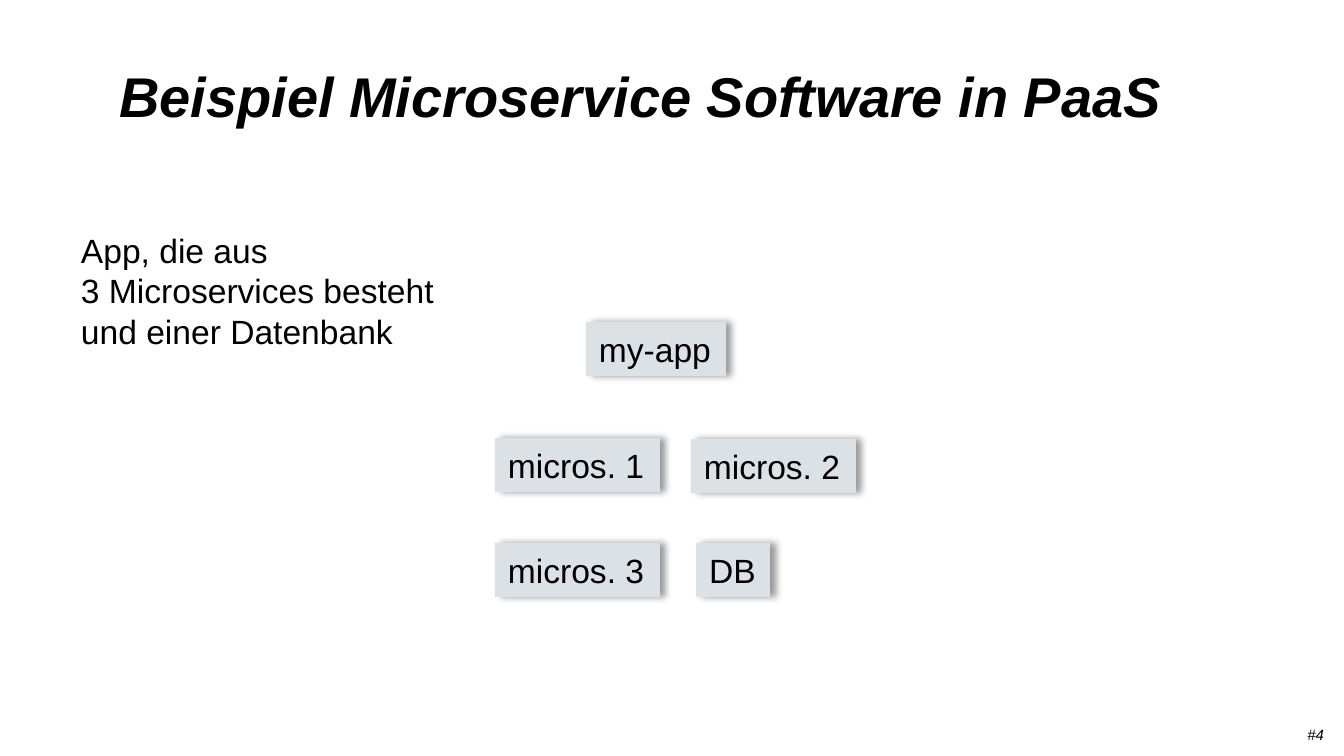
from lxml.etree import SubElement
from pptx import Presentation
from pptx.dml.color import RGBColor as RGB
from pptx.enum.shapes import MSO_SHAPE as SHAPE
from pptx.enum.text import MSO_ANCHOR as ANCHOR, MSO_AUTO_SIZE as AUTO, PP_ALIGN as ALIGN
from pptx.oxml.ns import qn
from pptx.util import Emu, Pt

WIDTH, HEIGHT = 1344, 756
EMU_PER_PX = 9144000 / WIDTH
FONT = "Arial"
COLORS = {"text": "000000", "box": "DCE1E6", "shadow": "000000"}
BOX_HEIGHT = 54
SERVICE_WIDTH = 165
SERVICE_LEFT = 495


def px(value):
    return Emu(round(value * EMU_PER_PX))


def write_text(sp, text, size=18, bold=False, italic=False, align=ALIGN.LEFT,
               wrap=False, insets=(13, 7, 13, 7), line=None):
    tf = sp.text_frame
    tf.word_wrap = wrap
    tf.auto_size = AUTO.SHAPE_TO_FIT_TEXT
    tf.vertical_anchor = ANCHOR.TOP
    tf.margin_left, tf.margin_top, tf.margin_right, tf.margin_bottom = map(px, insets)
    for i, words in enumerate(text.split("\n")):
        p = tf.add_paragraph() if i else tf.paragraphs[0]
        p.alignment = align
        if line:
            p.line_spacing = Pt(line)
        r = p.add_run()
        r.text = words
        r.font.name = FONT
        r.font.size = Pt(size)
        r.font.bold = bold
        r.font.italic = italic
        r.font.color.rgb = RGB.from_string(COLORS["text"])


def add_label(s, text, x, y, w, h, **fmt):
    sp = s.shapes.add_textbox(px(x), px(y), px(w), px(h))
    write_text(sp, text, **fmt)


def add_shadow(sp, blur=4, distance=3, opacity=40):
    sp.shadow.inherit = False
    effects = sp._element.spPr.find(qn("a:effectLst"))
    shadow = SubElement(effects, qn("a:outerShdw"), blurRad=str(Pt(blur)),
                        dist=str(Pt(distance)), dir="0", rotWithShape="0")
    color = SubElement(shadow, qn("a:srgbClr"), val=COLORS["shadow"])
    SubElement(color, qn("a:alpha"), val=str(opacity * 1000))


def add_box(s, text, x, y, w):
    sp = s.shapes.add_shape(SHAPE.RECTANGLE, px(x), px(y), px(w), px(BOX_HEIGHT))
    sp.fill.solid()
    sp.fill.fore_color.rgb = RGB.from_string(COLORS["box"])
    sp.line.fill.background()
    add_shadow(sp)
    write_text(sp, text)


def main():
    prs = Presentation()
    prs.slide_width, prs.slide_height = px(WIDTH), px(HEIGHT)
    s = prs.slides.add_slide(prs.slide_layouts[6])

    add_label(s, "#4", 1285, 726, 39, 17, size=8, italic=True,
              align=ALIGN.RIGHT, insets=(0, 0, 0, 0))
    add_label(s, "Beispiel Microservice Software in PaaS", 109, 63, 1063, 71,
              size=30, bold=True, italic=True, align=ALIGN.CENTER, wrap=True,
              insets=(0, 6, 0, 6), line=32)
    add_label(s, "App, die aus\n3 Microservices besteht\nund einer Datenbank",
              68, 223, 392, 136)

    for text, x, y, w in (
        ("my-app", 586, 322, 140),
        ("micros. 1", SERVICE_LEFT, 438, SERVICE_WIDTH),
        ("micros. 2", 691, 439, SERVICE_WIDTH),
        ("micros. 3", SERVICE_LEFT, 543, SERVICE_WIDTH),
        ("DB", 696, 543, 74),
    ):
        add_box(s, text, x, y, w)

    prs.save("out.pptx")


if __name__ == "__main__":
    main()
